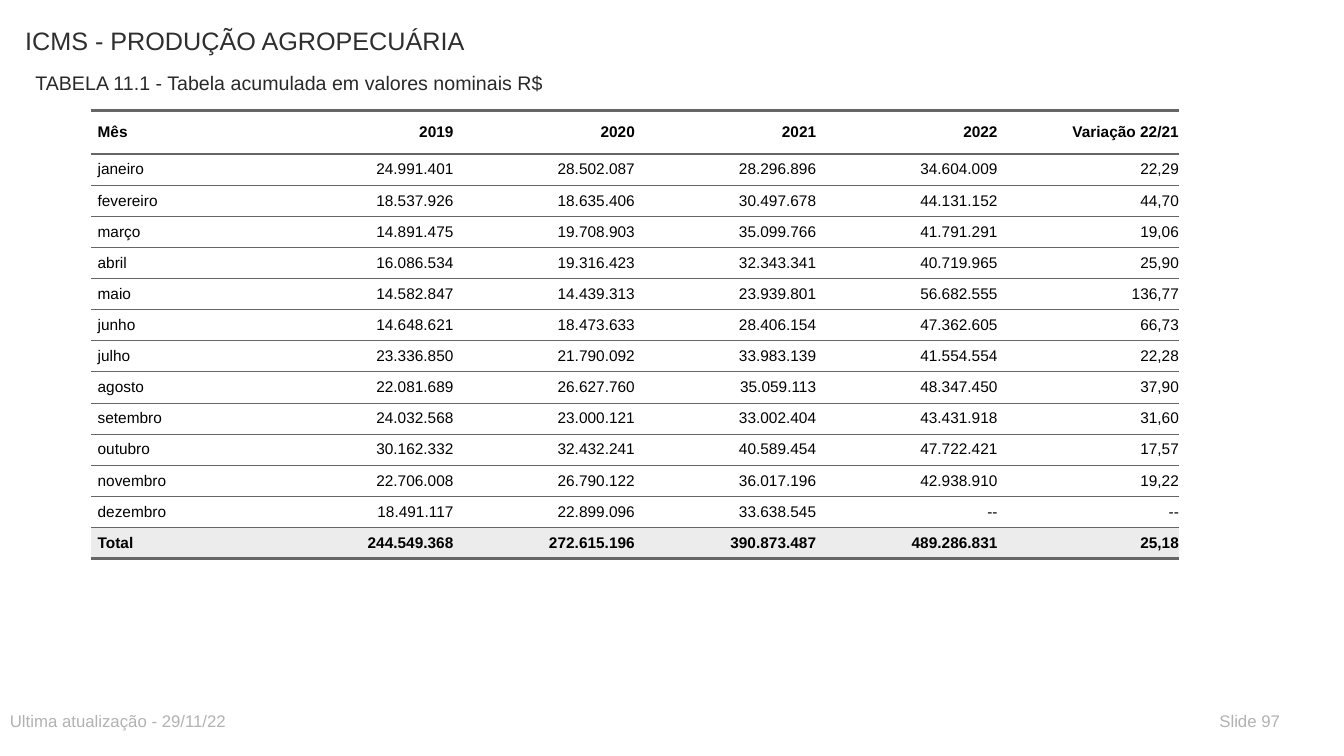
from dataclasses import dataclass

from lxml.etree import SubElement
from pptx import Presentation
from pptx.dml.color import RGBColor
from pptx.enum.text import MSO_ANCHOR, PP_ALIGN
from pptx.oxml.ns import qn
from pptx.util import Cm, Pt

TITLE = "ICMS - PRODUÇÃO AGROPECUÁRIA"
SUBTITLE = "TABELA 11.1 - Tabela acumulada em valores nominais R$"
UPDATED = "Ultima atualização - 29/11/22"
SLIDE_LABEL = "Slide 97"

ROWS = [
    ("Mês", "2019", "2020", "2021", "2022", "Variação 22/21"),
    ("janeiro", "24.991.401", "28.502.087", "28.296.896", "34.604.009", "22,29"),
    ("fevereiro", "18.537.926", "18.635.406", "30.497.678", "44.131.152", "44,70"),
    ("março", "14.891.475", "19.708.903", "35.099.766", "41.791.291", "19,06"),
    ("abril", "16.086.534", "19.316.423", "32.343.341", "40.719.965", "25,90"),
    ("maio", "14.582.847", "14.439.313", "23.939.801", "56.682.555", "136,77"),
    ("junho", "14.648.621", "18.473.633", "28.406.154", "47.362.605", "66,73"),
    ("julho", "23.336.850", "21.790.092", "33.983.139", "41.554.554", "22,28"),
    ("agosto", "22.081.689", "26.627.760", "35.059.113", "48.347.450", "37,90"),
    ("setembro", "24.032.568", "23.000.121", "33.002.404", "43.431.918", "31,60"),
    ("outubro", "30.162.332", "32.432.241", "40.589.454", "47.722.421", "17,57"),
    ("novembro", "22.706.008", "26.790.122", "36.017.196", "42.938.910", "19,22"),
    ("dezembro", "18.491.117", "22.899.096", "33.638.545", "--", "--"),
    ("Total", "244.549.368", "272.615.196", "390.873.487", "489.286.831", "25,18"),
]


@dataclass(frozen=True)
class Theme:
    font: str = "Arial"
    title: str = "2D2E2D"
    subtitle: str = "292929"
    footer: str = "B2B2B2"
    cell_text: str = "000000"
    cell_fill: str = "FFFFFF"
    total_fill: str = "ECECEC"
    rule: str = "666666"
    title_size: int = 18
    subtitle_size: int = 14
    footer_size: int = 12
    cell_size: int = 11
    thick: float = 2
    thin: float = 0.5


THEME = Theme()
NO_STYLE_NO_GRID = "{2D5ABB26-0587-4C30-8999-92F81FD0307C}"
HEADER_HEIGHT = Cm(1.09)
BODY_HEIGHT = Cm(10.2)
COLUMN_WIDTH = Cm(4.57)


def write(tf, text, size, color, bold=False, align=PP_ALIGN.LEFT):
    tf.text = text
    p = tf.paragraphs[0]
    p.alignment = align
    font = p.runs[0].font
    font.name, font.size, font.bold = THEME.font, Pt(size), bold
    font.color.rgb = RGBColor.from_string(color)


def place_text(sp, box, text, size, color):
    sp.left, sp.top, sp.width, sp.height = (Cm(v) for v in box)
    tf = sp.text_frame
    tf.word_wrap = True
    tf.vertical_anchor = MSO_ANCHOR.TOP
    write(tf, text, size, color)


def add_rule(cell, side, width):
    """Draw a horizontal border; side is lnT or lnB."""
    ln = SubElement(cell._tc.get_or_add_tcPr(), qn(f"a:{side}"), w=str(Pt(width)))
    fill = SubElement(ln, qn("a:solidFill"))
    SubElement(fill, qn("a:srgbClr"), val=THEME.rule)


def format_cell(cell, text, row, col):
    last = len(ROWS) - 1
    outer = row in (0, last)
    add_rule(cell, "lnT", THEME.thick if row <= 1 else THEME.thin)
    add_rule(cell, "lnB", THEME.thick if outer else THEME.thin)
    cell.fill.solid()
    cell.fill.fore_color.rgb = RGBColor.from_string(
        THEME.total_fill if row == last else THEME.cell_fill)
    cell.vertical_anchor = MSO_ANCHOR.MIDDLE
    cell.margin_left = Cm(0 if col else 0.17)
    cell.margin_right = 0
    cell.margin_top = cell.margin_bottom = Cm(0.12)
    write(cell.text_frame, text, THEME.cell_size, THEME.cell_text, bold=outer,
          align=PP_ALIGN.RIGHT if col else PP_ALIGN.LEFT)


def add_revenue_table(s):
    n_rows, n_cols = len(ROWS), len(ROWS[0])
    frame = s.shapes.add_table(n_rows, n_cols, Cm(2.29), Cm(2.79),
                               COLUMN_WIDTH * n_cols, HEADER_HEIGHT + BODY_HEIGHT)
    table = frame.table
    table.horz_banding = False
    table._tbl.tblPr.find(qn("a:tableStyleId")).text = NO_STYLE_NO_GRID
    for column in table.columns:
        column.width = COLUMN_WIDTH
    for r, values in enumerate(ROWS):
        table.rows[r].height = BODY_HEIGHT // (n_rows - 1) if r else HEADER_HEIGHT
        for c, text in enumerate(values):
            format_cell(table.cell(r, c), text, r, c)


def main():
    prs = Presentation()
    prs.slide_width, prs.slide_height = Cm(33.87), Cm(19.05)
    s = prs.slides.add_slide(prs.slide_layouts[5])
    place_text(s.shapes.title, (0.38, 0.51, 20.32, 1.5), TITLE,
               THEME.title_size, THEME.title)
    labels = [
        ((0.64, 1.65, 16.51, 0.76), SUBTITLE, THEME.subtitle_size, THEME.subtitle),
        ((0, 17.78, 16.51, 0.76), UPDATED, THEME.footer_size, THEME.footer),
        ((30.48, 17.78, 2.29, 0.76), SLIDE_LABEL, THEME.footer_size, THEME.footer),
    ]
    for box, text, size, color in labels:
        place_text(s.shapes.add_textbox(0, 0, 0, 0), box, text, size, color)
    add_revenue_table(s)
    prs.save("out.pptx")


if __name__ == "__main__":
    main()
